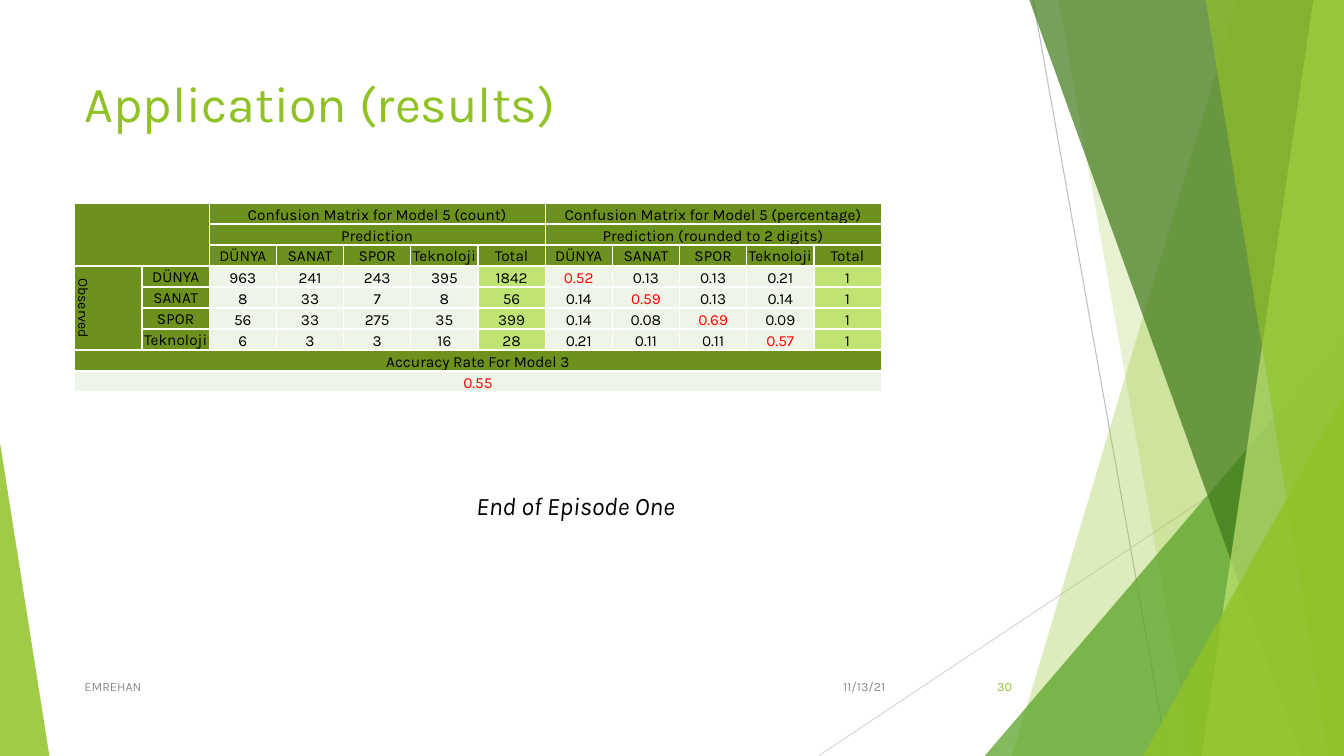
from dataclasses import dataclass

from lxml import etree
from pptx import Presentation
from pptx import util as u
from pptx.dml.color import RGBColor
from pptx.enum import shapes, text
from pptx.oxml import ns

FONT = "Karla"
WIDTH, HEIGHT = 960, 540
TOP = -0.6  # the bands start just above the slide

BLACK = RGBColor(0x00, 0x00, 0x00)
RED = RGBColor(0xFF, 0x00, 0x00)
GREY = RGBColor(0x8C, 0x8C, 0x8C)
SILVER = RGBColor(0xBF, 0xBF, 0xBF)
PALE_GREY = RGBColor(0xD9, 0xD9, 0xD9)
LIME = RGBColor(0x90, 0xC2, 0x26)
LEAF = RGBColor(0x54, 0xA0, 0x21)
FOREST = RGBColor(0x3F, 0x78, 0x19)
LIGHT_LIME = RGBColor(0xC0, 0xE4, 0x74)
OLIVE = RGBColor(0x6C, 0x92, 0x1D)
MIST = RGBColor(0xEE, 0xF4, 0xE8)

LEFT, CENTER, RIGHT = text.PP_ALIGN.LEFT, text.PP_ALIGN.CENTER, text.PP_ALIGN.RIGHT
UPPER, MIDDLE, LOWER = text.MSO_ANCHOR.TOP, text.MSO_ANCHOR.MIDDLE, text.MSO_ANCHOR.BOTTOM


@dataclass
class Ray:
    start: tuple[float, float]
    end: tuple[float, float]
    color: RGBColor


@dataclass
class Band:
    """A full-height area from a slanted left side to the right slide edge."""
    top_x: float
    bottom_x: float
    color: RGBColor
    opacity: int


@dataclass
class Wedge:
    """A right triangle that stands on the bottom slide edge."""
    left: float
    top: float
    width: float
    apex: float
    color: RGBColor
    opacity: int


@dataclass
class Label:
    words: str
    left: float
    top: float
    width: float
    height: float
    size: float
    color: RGBColor
    align: text.PP_ALIGN = LEFT
    anchor: text.MSO_ANCHOR = MIDDLE
    italic: bool = False


RAYS = [
    Ray((738, 0), (834, HEIGHT), SILVER),
    Ray((WIDTH, 290), (584.6, HEIGHT), PALE_GREY),
]
FACETS = [
    Band(884.2, 722.9, LIME, 30),
    Band(756, 851.8, LIME, 20),
    Wedge(703.4, 239.8, 256.6, 1, LEAF, 72),
    Band(735.1, 929.5, FOREST, 70),
    Band(938.2, 858.2, LIGHT_LIME, 70),
    Band(861.1, 949, LIME, 65),
    Wedge(816.5, 283, 143.5, 1, LIME, 80),
    Wedge(0, 316.1, 35.3, 0, LIME, 85),
]
LABELS = [
    Label("Application (results)", 53.3, 48, 677, 104, 36, LIME, anchor=UPPER),
    Label("End of Episode One", 284, 347, 254, 29, 18, BLACK, CENTER, UPPER, True),
    Label("11/13/21", 567.5, 476, 72, 28.8, 9, GREY, RIGHT),
    Label("EMREHAN", 53.3, 476, 496, 28.8, 9, GREY),
    Label("30", 676, 476, 54, 28.8, 9, LIME, RIGHT),
]

CLASSES = ["DÜNYA", "SANAT", "SPOR", "Teknoloji"]
COUNTS = [
    [963, 241, 243, 395, 1842],
    [8, 33, 7, 8, 56],
    [56, 33, 275, 35, 399],
    [6, 3, 3, 16, 28],
]
SHARES = [
    [0.52, 0.13, 0.13, 0.21, 1],
    [0.14, 0.59, 0.13, 0.14, 1],
    [0.14, 0.08, 0.69, 0.09, 1],
    [0.21, 0.11, 0.11, 0.57, 1],
]
ROWS, COLUMNS = 9, 12
ROW_HEIGHT, COLUMN_WIDTH = 15, 48


def style_text(frame, size: float, color: RGBColor, align, italic: bool = False) -> None:
    para = frame.paragraphs[0]
    para.alignment = align
    for span in para.runs:
        span.font.name, span.font.size = FONT, u.Pt(size)
        span.font.color.rgb, span.font.italic = color, italic


def draw_ray(page, ray: Ray) -> None:
    ends = [u.Pt(value) for value in ray.start + ray.end]
    line = page.shapes.add_connector(shapes.MSO_CONNECTOR.STRAIGHT, *ends)
    line.line.color.rgb, line.line.width = ray.color, u.Pt(0.75)
    etree.SubElement(line._element.spPr, ns.qn("a:effectLst"))


def draw_facet(page, facet: Band | Wedge) -> None:
    if isinstance(facet, Band):
        corners = [(facet.top_x, TOP), (WIDTH, TOP), (WIDTH, HEIGHT), (facet.bottom_x, HEIGHT)]
        points = [(u.Pt(x), u.Pt(y)) for x, y in corners]
        builder = page.shapes.build_freeform(*points[0])
        builder.add_line_segments(points[1:], close=True)
        shape = builder.convert_to_shape()
    else:
        shape = page.shapes.add_shape(
            shapes.MSO_SHAPE.ISOSCELES_TRIANGLE, u.Pt(facet.left), u.Pt(facet.top),
            u.Pt(facet.width), u.Pt(HEIGHT - facet.top))
        shape.adjustments[0] = facet.apex
    shape.shadow.inherit = False
    shape.line.fill.background()
    shape.fill.solid()
    shape.fill.fore_color.rgb = facet.color
    color = shape._element.spPr.find(".//" + ns.qn("a:srgbClr"))
    etree.SubElement(color, ns.qn("a:alpha"), val=str(facet.opacity * 1000))


def draw_label(page, label: Label) -> None:
    box = page.shapes.add_textbox(
        u.Pt(label.left), u.Pt(label.top), u.Pt(label.width), u.Pt(label.height))
    frame = box.text_frame
    frame.word_wrap = True
    frame.vertical_anchor = label.anchor
    frame.text = label.words
    style_text(frame, label.size, label.color, label.align, label.italic)


def add_borders(cell) -> None:
    properties = cell._tc.get_or_add_tcPr()
    for index, side in enumerate(("lnL", "lnR", "lnT", "lnB")):
        line = etree.Element(ns.qn("a:" + side), w=str(u.Pt(1)))
        fill = etree.SubElement(line, ns.qn("a:solidFill"))
        etree.SubElement(fill, ns.qn("a:srgbClr"), val="FFFFFF")
        properties.insert(index, line)


def fill_cell(table, row: int, column: int, words: str = "", fill: RGBColor = OLIVE,
              color: RGBColor = BLACK, anchor=LOWER, rows: int = 1, columns: int = 1,
              size: float = 11) -> None:
    cell = table.cell(row, column)
    if rows * columns > 1:
        cell.merge(table.cell(row + rows - 1, column + columns - 1))
    cell.text_frame.text = words
    cell.vertical_anchor = anchor
    style_text(cell.text_frame, size, color, CENTER)
    for y in range(row, row + rows):
        for x in range(column, column + columns):
            part = table.cell(y, x)
            part.margin_left = part.margin_right = part.margin_top = u.Pt(0.7)
            part.margin_bottom = 0
            part.fill.solid()
            part.fill.fore_color.rgb = fill
            add_borders(part)
            if not part.text_frame.text:
                para = part.text_frame.paragraphs[0]
                etree.SubElement(para._p, ns.qn("a:endParaRPr"), sz=str(size * 100))


def draw_matrix(page) -> None:
    table = page.shapes.add_table(
        ROWS, COLUMNS, u.Pt(53.5), u.Pt(145),
        u.Pt(COLUMNS * COLUMN_WIDTH), u.Pt(ROWS * ROW_HEIGHT)).table
    table.first_row = table.horz_banding = False
    for row in table.rows:
        row.height = u.Pt(ROW_HEIGHT)

    # Row headings
    fill_cell(table, 0, 0, rows=3, columns=2)
    fill_cell(table, 3, 0, "Observed", anchor=MIDDLE, rows=4, size=10)
    table.cell(3, 0)._tc.get_or_add_tcPr().set("vert", "vert")
    for index, name in enumerate(CLASSES):
        fill_cell(table, 3 + index, 1, name, anchor=MIDDLE)

    # Count half and percentage half
    halves = [(2, "count", "Prediction", COUNTS),
              (7, "percentage", "Prediction (rounded to 2 digits)", SHARES)]
    for first, unit, heading, values in halves:
        fill_cell(table, 0, first, f"Confusion Matrix for Model 5 ({unit})", columns=5)
        fill_cell(table, 1, first, heading, columns=5)
        for offset, name in enumerate(CLASSES + ["Total"]):
            fill_cell(table, 2, first + offset, name, anchor=MIDDLE)
        for index, line in enumerate(values):
            for offset, value in enumerate(line):
                fill = LIGHT_LIME if offset == len(CLASSES) else MIST
                color = RED if values is SHARES and offset == index else BLACK
                fill_cell(table, 3 + index, first + offset, str(value), fill, color)

    # Accuracy
    fill_cell(table, 7, 0, "Accuracy Rate For Model 3", columns=COLUMNS)
    fill_cell(table, 8, 0, "0.55", MIST, RED, columns=COLUMNS)


def main() -> None:
    deck = Presentation()
    deck.slide_width, deck.slide_height = u.Pt(WIDTH), u.Pt(HEIGHT)
    page = deck.slides.add_slide(deck.slide_layouts[6])
    for ray in RAYS:
        draw_ray(page, ray)
    for facet in FACETS:
        draw_facet(page, facet)
    draw_matrix(page)
    for label in LABELS:
        draw_label(page, label)
    deck.save("out.pptx")


if __name__ == "__main__":
    main()
